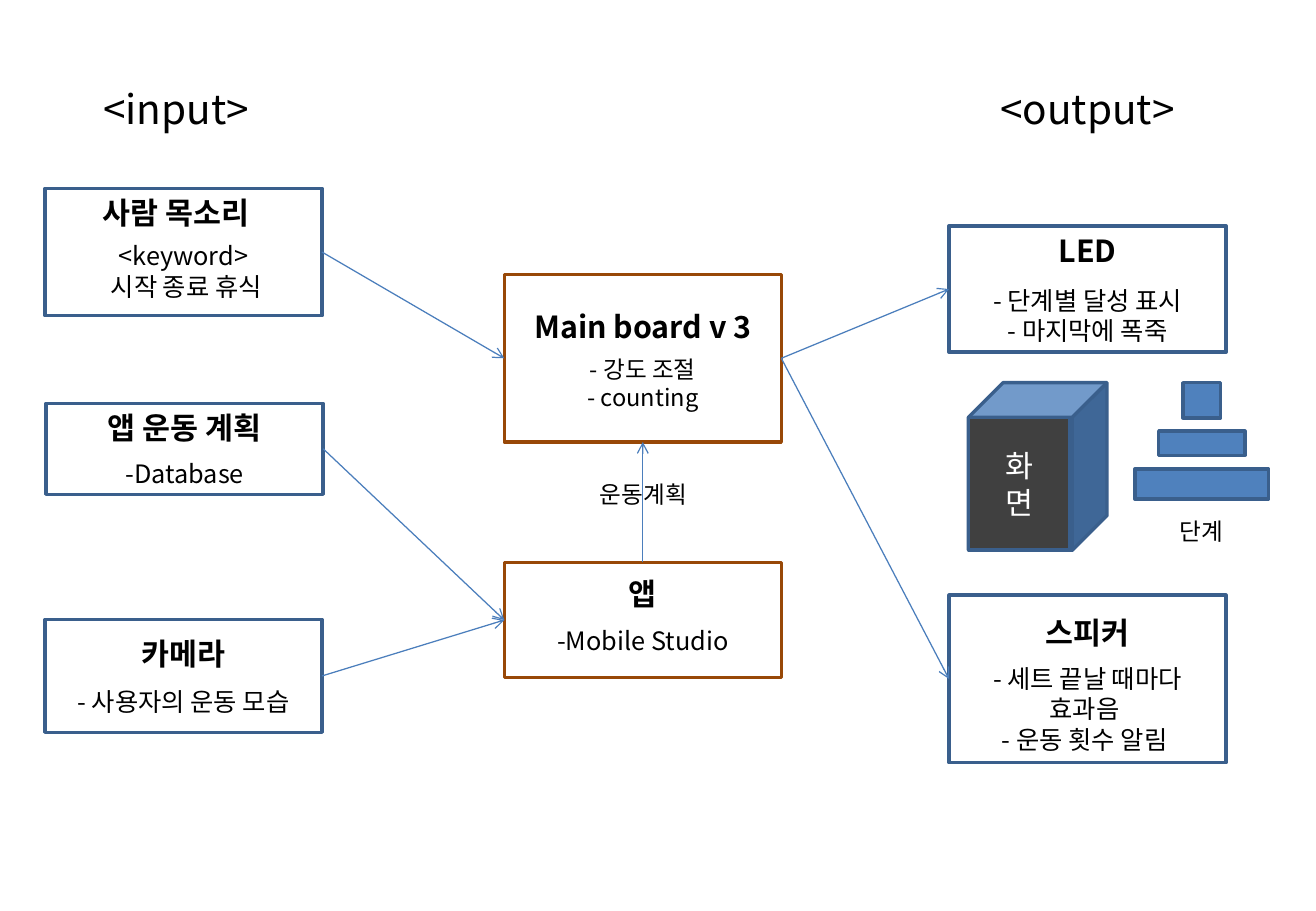
from pptx import Presentation, util as u
from pptx.dml.color import RGBColor
from pptx.enum import shapes, text
from pptx.oxml.ns import qn
from lxml import etree

BLACK = RGBColor(0x00, 0x00, 0x00)
WHITE = RGBColor(0xFF, 0xFF, 0xFF)
BLUE = RGBColor(0x4F, 0x81, 0xBD)
NAVY = RGBColor(0x3A, 0x5F, 0x8C)
BROWN = RGBColor(0x98, 0x48, 0x07)
GRAY = RGBColor(0x40, 0x40, 0x40)
ARROW = RGBColor(0x4B, 0x7E, 0xBC)
FONT = "Noto Sans CJK KR"
WIDE = 2.28
LEFT, MID, RIGHT = 0.37, 4.15, 7.81


def style(frame, size, color=BLACK, bold=False):
    for para in frame.paragraphs:
        para.alignment = text.PP_ALIGN.CENTER
        for run in para.runs:
            font = run.font
            font.name, font.size, font.bold = FONT, u.Pt(size), bold
            font.color.rgb = color
            east = etree.SubElement(run._r.get_or_add_rPr(), qn("a:ea"))
            east.set("typeface", FONT)


def label(slide, box, words, size, bold=False):
    frame = slide.shapes.add_textbox(*map(u.Inches, box)).text_frame
    frame.word_wrap = True
    frame.text = words
    style(frame, size, bold=bold)


def block(slide, box, fill=None, line=NAVY, kind=shapes.MSO_SHAPE.RECTANGLE):
    shape = slide.shapes.add_shape(kind, *map(u.Inches, box))
    shape.shadow.inherit = False
    if fill is None:
        shape.fill.background()
    else:
        shape.fill.solid()
        shape.fill.fore_color.rgb = fill
    shape.line.color.rgb = line
    shape.line.width = u.Pt(2)
    return shape


def card(slide, box, title, note, head, body, size=15, line=NAVY, shift=0):
    left, top, width, height = box
    label(slide, (left + shift, top + head, width, 0.4), title, 18, True)
    label(slide, (left, top + body, width, height - body), note, size)
    return block(slide, box, line=line)


def arrow(slide, start, end, out=3, into=1):
    link = slide.shapes.add_connector(shapes.MSO_CONNECTOR.STRAIGHT, 0, 0, 0, 0)
    link.begin_connect(start, out)
    link.end_connect(end, into)
    link.line.color.rgb = ARROW
    link.line.width = u.Pt(0.75)
    etree.SubElement(link.line._get_or_add_ln(), qn("a:tailEnd")).set("type", "arrow")
    etree.SubElement(link._element.spPr, qn("a:effectLst"))


def screen(slide, box):
    left, top, width, height = box
    depth = width / 4
    block(slide, box, BLUE, kind=shapes.MSO_SHAPE.CUBE)
    face = block(slide, (left, top + depth, width - depth - 0.02, height - depth), GRAY)
    frame = face.text_frame
    frame.text = "화\n면"
    frame.vertical_anchor = text.MSO_ANCHOR.MIDDLE
    style(frame, 18, WHITE)


def steps(slide, box):
    left, top, width, height = box
    for part, drop, tall in ((0.31, 0, 0.29), (0.71, 0.4, 0.2), (1.1, 0.71, 0.25)):
        block(slide, (left + (width - part) / 2, top + drop, part, tall), BLUE)
    label(slide, (left, top + height - 0.34, width, 0.34), "단계", 14)


def inputs(slide, left):
    label(slide, (left + 0.1, 0.64, 1.96, 0.5), "<input>", 24)
    voice = card(slide, (left, 1.55, WIDE, 1.05), "사람 목소리",
                 "<keyword>\n 시작 종료 휴식", 0, 0.38, shift=-0.06)
    plan = card(slide, (left + 0.01, 3.32, WIDE, 0.75), "앱 운동 계획", "-Database", 0, 0.4)
    camera = card(slide, (left, 5.1, WIDE, 0.93), "카메라",
                  "- 사용자의 운동 모습", 0.08, 0.5)
    return voice, plan, camera


def center(slide, left):
    board = card(slide, (left, 2.26, WIDE, 1.38), "Main board v 3",
                 "- 강도 조절\n- counting", 0.23, 0.61, 14, BROWN)
    app = card(slide, (left, 4.63, WIDE, 0.95), "앱", "-Mobile Studio",
               0.06, 0.47, line=BROWN)
    arrow(slide, app, board, 0, 2)
    label(slide, (left + 0.24, 3.9, 1.81, 0.34), "운동계획", 14)
    return board, app


def outputs(slide, left):
    label(slide, (left + 0.16, 0.64, 1.96, 0.5), "<output>", 24)
    led = card(slide, (left, 1.86, WIDE, 1.04), "LED",
               "- 단계별 달성 표시\n- 마지막에 폭죽", 0, 0.44)
    screen(slide, (left + 0.16, 3.15, 1.14, 1.38))
    steps(slide, (left + 1.53, 3.15, 1.1, 1.4))
    speaker = card(slide, (left, 4.9, WIDE, 1.38), "스피커",
                   "- 세트 끝날 때마다 효과음 \n- 운동 횟수 알림 ", 0.11, 0.51)
    return led, speaker


deck = Presentation()
deck.slide_width, deck.slide_height = u.Inches(10.83), u.Inches(7.5)
slide = deck.slides.add_slide(deck.slide_layouts[6])
voice, plan, camera = inputs(slide, LEFT)
board, app = center(slide, MID)
led, speaker = outputs(slide, RIGHT)
for start, end in ((voice, board), (plan, app), (camera, app), (board, led), (board, speaker)):
    arrow(slide, start, end)
deck.save("out.pptx")
